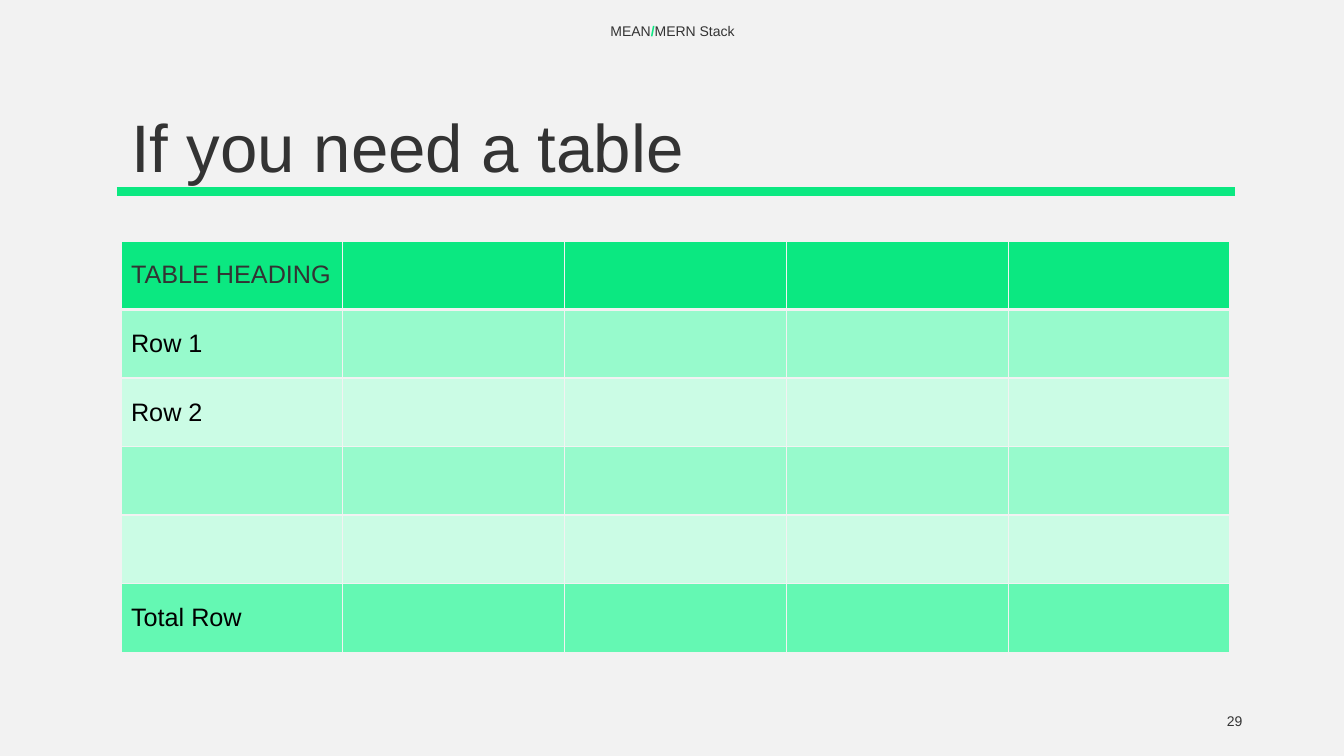
from lxml.etree import SubElement
from pptx import Presentation
from pptx.dml.color import RGBColor as RGB
from pptx.enum.shapes import MSO_CONNECTOR as CONN
from pptx.enum.text import MSO_ANCHOR as ANCHOR, PP_ALIGN as ALIGN
from pptx.oxml.ns import qn
from pptx.util import Inches, Pt

COLORS = {
    "background": "F2F2F2",
    "text": "333333",
    "accent": "0BE881",
    "row_text": "000000",
    "odd_row": "97FACC",
    "even_row": "CBFCE5",
    "total_row": "64F8B3",
}


class SlideBuilder:
    """Holds the style and the current slide."""

    font = "Arial"

    def __init__(self, prs):
        self.slide = prs.slides.add_slide(prs.slide_layouts[5])
        self.fill(self.slide.background, "background")

    def fill(self, target, color):
        target.fill.solid()
        target.fill.fore_color.rgb = RGB.from_string(COLORS[color])

    def style(self, r, size, color="text", bold=False):
        r.font.name = self.font
        r.font.size = Pt(size)
        r.font.bold = bold
        r.font.color.rgb = RGB.from_string(COLORS[color])

    def place(self, sp, left, top, width, height):
        sp.left, sp.top = Inches(left), Inches(top)
        sp.width, sp.height = Inches(width), Inches(height)

    def rule(self, left, right, y, color, weight):
        line = self.slide.shapes.add_connector(
            CONN.STRAIGHT, Inches(left), Inches(y), Inches(right), Inches(y))
        line.line.color.rgb = RGB.from_string(COLORS[color])
        line.line.width = Pt(weight)
        SubElement(line._element.spPr, qn("a:effectLst"))

    def title(self, text, box):
        sp = self.slide.shapes.title
        self.place(sp, *box)
        tf = sp.text_frame
        tf.text = text
        tf.word_wrap = True
        tf.vertical_anchor = ANCHOR.BOTTOM
        p = tf.paragraphs[0]
        p.alignment = ALIGN.LEFT
        p.line_spacing = 0.85
        self.style(p.runs[0], 48)

    def label(self, parts, box, align):
        """Adds a small text box; parts are (text, color, bold)."""
        sp = self.slide.shapes.add_textbox(0, 0, 0, 0)
        self.place(sp, *box)
        tf = sp.text_frame
        tf.word_wrap = True
        tf.vertical_anchor = ANCHOR.MIDDLE
        p = tf.paragraphs[0]
        p.alignment = align
        for text, color, bold in parts:
            r = p.add_run()
            r.text = text
            self.style(r, 10, color, bold)

    def borders(self, cell, top, bottom):
        tc_pr = cell._tc.get_or_add_tcPr()
        for side, weight in (("L", 1), ("R", 1), ("T", top), ("B", bottom)):
            ln = SubElement(tc_pr, qn(f"a:ln{side}"), w=str(Pt(weight)))
            solid = SubElement(ln, qn("a:solidFill"))
            SubElement(solid, qn("a:srgbClr"), val=COLORS["background"])

    def table(self, rows, n_cols, left, top, col_width, row_height):
        """Adds a table; rows are (first cell, text color, fill color)."""
        frame = self.slide.shapes.add_table(
            len(rows), n_cols, Inches(left), Inches(top),
            Inches(col_width * n_cols), Inches(row_height * len(rows)))
        table = frame.table
        table.first_row = table.horz_banding = False
        for col in table.columns:
            col.width = Inches(col_width)
        for i, (text, color, fill) in enumerate(rows):
            table.rows[i].height = Inches(row_height)
            for cell in table.rows[i].cells:
                self.borders(cell, 3 if i == 1 else 1, 3 if i == 0 else 1)
                self.fill(cell, fill)
                cell.vertical_anchor = ANCHOR.MIDDLE
            if text:
                first = table.cell(i, 0)
                first.text = text
                self.style(first.text_frame.paragraphs[0].runs[0], 18, color)


def main():
    prs = Presentation()
    prs.slide_width, prs.slide_height = Inches(13.33), Inches(7.5)
    s = SlideBuilder(prs)

    # Title and its rule
    s.rule(1.16, 12.25, 1.9, "accent", 6)
    s.title("If you need a table", (1.2, 0.31, 11, 1.59))

    # Header and page number
    s.label([("MEAN", "text", False), ("/", "accent", True),
             ("MERN Stack", "text", False)], (4.42, 0.11, 4.5, 0.4), ALIGN.CENTER)
    s.label([("29", "text", False)], (9.42, 6.95, 3, 0.4), ALIGN.RIGHT)

    # Table
    s.table([
        ("TABLE HEADING", "text", "accent"),
        ("Row 1", "row_text", "odd_row"),
        ("Row 2", "row_text", "even_row"),
        ("", "row_text", "odd_row"),
        ("", "row_text", "even_row"),
        ("Total Row", "row_text", "total_row"),
    ], n_cols=5, left=1.2, top=2.39, col_width=2.2, row_height=0.68)

    prs.save("out.pptx")


if __name__ == "__main__":
    main()
